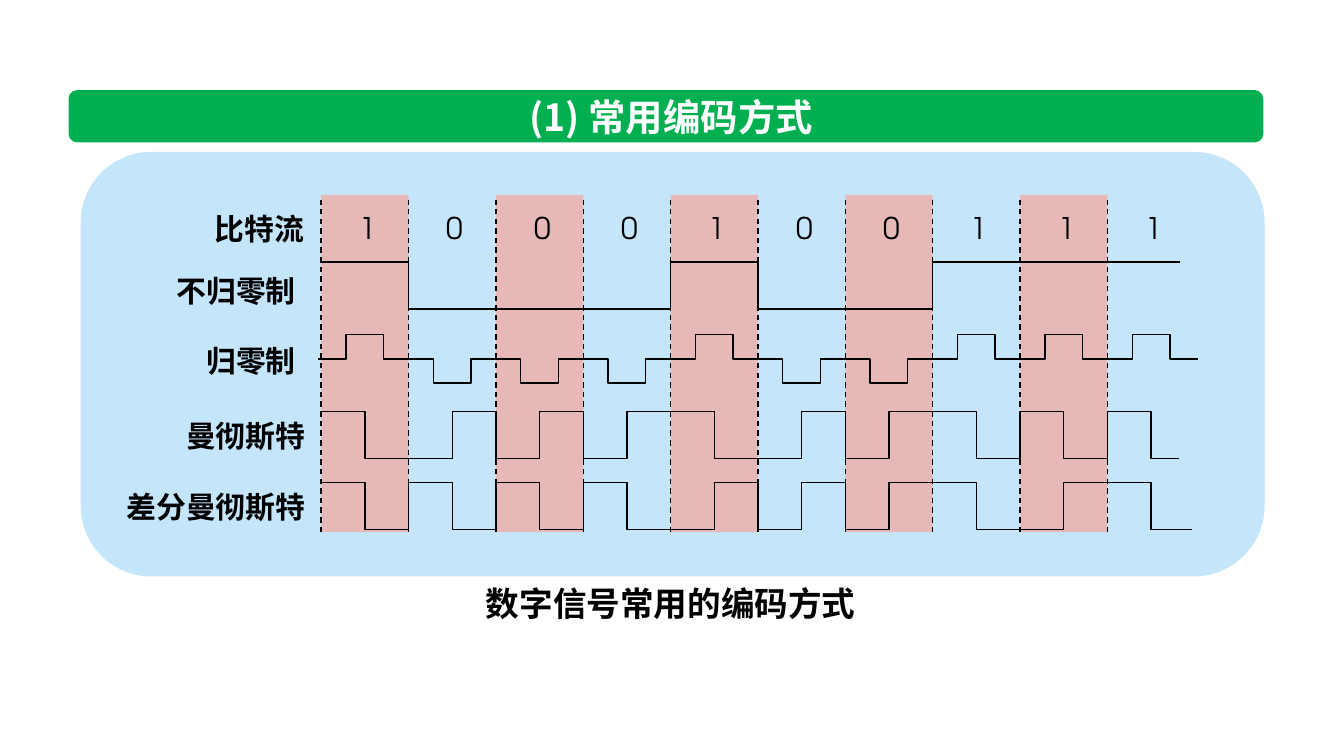
"""Build a slide of line codes drawn from one bit stream."""
from lxml import etree
from pptx import Presentation
from pptx.dml.color import RGBColor
from pptx.enum.dml import MSO_LINE
from pptx.enum.shapes import MSO_CONNECTOR, MSO_SHAPE
from pptx.enum.text import MSO_ANCHOR, MSO_AUTO_SIZE, PP_ALIGN
from pptx.oxml.ns import qn
from pptx.util import Inches, Pt

DASH = MSO_LINE.DASH
LINE = MSO_CONNECTOR.STRAIGHT
RECT, ROUND = MSO_SHAPE.RECTANGLE, MSO_SHAPE.ROUNDED_RECTANGLE
MID, TOP = MSO_ANCHOR.MIDDLE, MSO_ANCHOR.TOP
CENTER, RIGHT = PP_ALIGN.CENTER, PP_ALIGN.RIGHT
FIXED = MSO_AUTO_SIZE.NONE

TITLE = "(1) 常用编码方式"
CAPTION = "数字信号常用的编码方式"
BITS = "1000100111"
LABELS = [
    ("比特流", 1.52, 2.36),
    ("不归零制", 1.98, 2.3),
    ("归零制", 2.5, 2.3),
    ("曼彻斯特", 3.06, 2.37),
    ("差分曼彻斯特", 3.59, 2.37),
]
COLORS = {"bar": "00B050", "panel": "C5E5FB", "band": "E6B9B8",
          "ink": "000000", "light": "FFFFFF"}
SANS, DIGIT = "Noto Sans CJK SC", "TeX Gyre Adventor"
LEFT, STEP = 2.39, 0.65
SWING, PULSE = 0.35, 0.18
NRZ, RZ, MAN, DIFF = 1.95, 2.67, 3.06, 3.59

deck = Presentation()
deck.slide_width = Inches(10)
deck.slide_height = deck.slide_width * 9 // 16
slide = deck.slides.add_slide(deck.slide_layouts[5])
shapes = slide.shapes


def color(name):
    return RGBColor.from_string(COLORS[name])


def edge(col):
    return LEFT + col * STEP


def block(kind, box, fill):
    shape = shapes.add_shape(kind, *map(Inches, box))
    shape.shadow.inherit = False
    shape.fill.solid()
    shape.fill.fore_color.rgb = color(fill)
    shape.line.fill.background()
    return shape


def write(shape, text, size, ink="ink", face=SANS, align=CENTER, anchor=TOP):
    frame = shape.text_frame
    frame.word_wrap = True
    frame.auto_size = FIXED
    frame.vertical_anchor = anchor
    para = frame.paragraphs[0]
    para.alignment = align
    run = para.add_run()
    run.text = text
    font = run.font
    font.size, font.bold, font.name = Pt(size), face == SANS, face
    font.color.rgb = color(ink)
    east = etree.Element(qn("a:ea"), typeface=face)
    font._element.find(qn("a:latin")).addnext(east)


def label(box, text, size, **style):
    write(shapes.add_textbox(*map(Inches, box)), text, size, **style)


def rule(x, top, end, dash=None):
    line = shapes.add_connector(LINE, *map(Inches, (x, end, x, top)))
    line.line.color.rgb = color("ink")
    line.line.width = Pt(0.75)
    line.line.dash_style = dash
    etree.SubElement(line._element.spPr, qn("a:effectLst"))


def trace(points):
    spots = [(Inches(x), Inches(y)) for x, y in points]
    path = shapes.build_freeform(*spots[0])
    path.add_line_segments(spots[1:], close=False)
    shape = path.convert_to_shape()
    shape.shadow.inherit = False
    shape.fill.background()
    shape.line.color.rgb = color("ink")
    shape.line.width = Pt(0.75)


def wave(levels, width, top, end):
    points = [(LEFT, top + SWING * (1 - levels[0]))]
    for i in range(1, len(levels)):
        if levels[i] != levels[i - 1]:
            x = LEFT + i * width
            points += [(x, points[-1][1]), (x, top + SWING * (1 - levels[i]))]
    trace(points + [(end, points[-1][1])])


bits = [int(bit) for bit in BITS]
man = [half for bit in bits for half in (bit, 1 - bit)]
diff, last = [], 0
for bit in bits:
    first = last if bit and diff else 1 - last
    last = 1 - first
    diff += [first, last]

bar = block(ROUND, (0.51, 0.67, 8.89, 0.39), "bar")
shapes._spTree.insert(2, bar._element)
title = shapes.title
title.left, title.top, title.width, title.height = map(
    Inches, (1.37, 0.67, 7.25, 0.39))
write(title, TITLE, 20, ink="light", anchor=MID)
block(ROUND, (0.6, 1.13, 8.81, 3.16), "panel")
label((3.39, 4.29, 3.2, 0.4), CAPTION, 18)

for col in range(0, len(bits), 2):
    block(RECT, (edge(col), 1.45, STEP, 2.51), "band")
for text, top, right in LABELS:
    label((right - 1.7, top, 1.7, 0.37), text, 16, align=RIGHT)

for col, bit in enumerate(bits):
    x = edge(col)
    mid = x + STEP / 2
    label((mid - 0.14, 1.51, 0.28, 0.3), BITS[col], 16, face=DIGIT)
    rule(x, 1.49, 3.96, DASH)
    if col and bit == bits[col - 1]:
        level = NRZ + SWING * (1 - bit)
        rule(x, level - 0.03, level)
    peak = RZ - PULSE if bit else RZ + PULSE
    trace([(mid - 0.35, RZ), (mid - 0.14, RZ), (mid - 0.14, peak),
           (mid + 0.14, peak), (mid + 0.14, RZ), (mid + 0.35, RZ)])

wave(bits, STEP, NRZ, 8.78)
wave(man, STEP / 2, MAN, 8.77)
wave(diff, STEP / 2, DIFF, 8.87)

deck.save("out.pptx")
